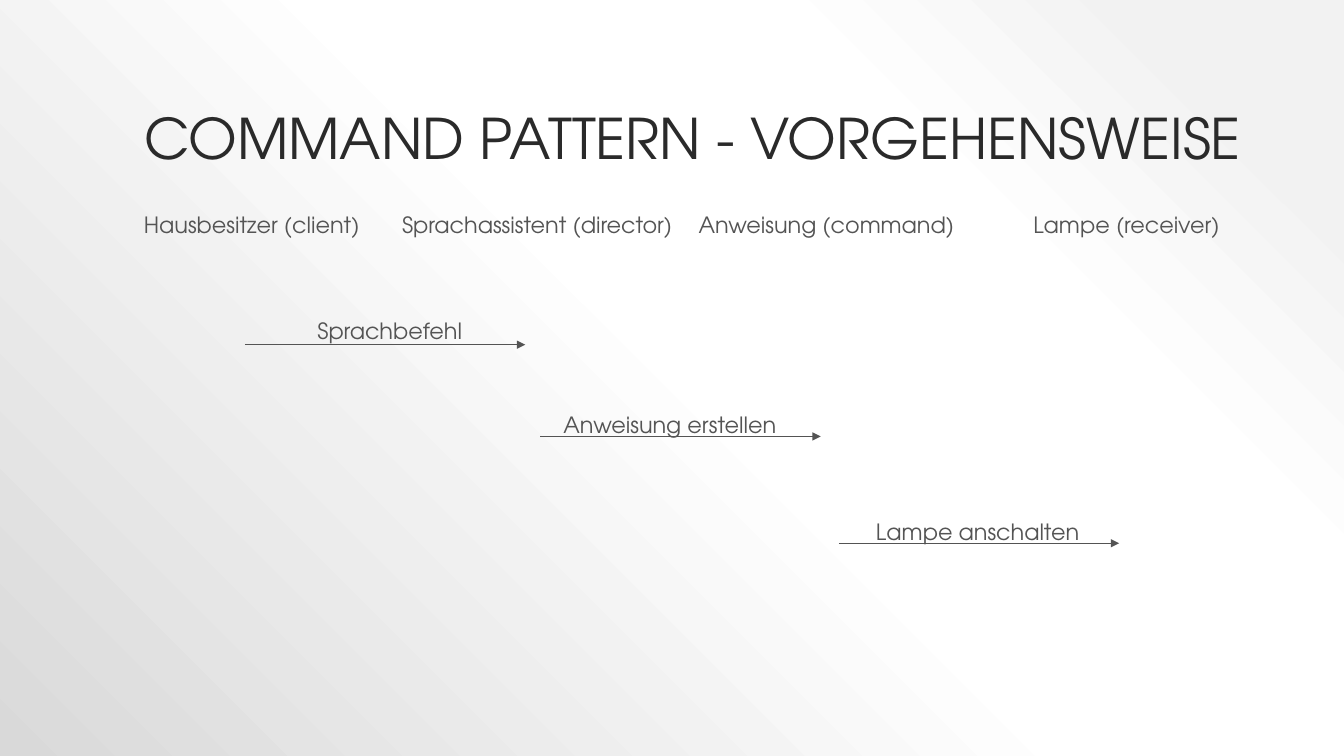
import pptx
import pptx.util
import pptx.oxml
import pptx.oxml.ns
import pptx.dml.color
import pptx.enum.shapes
import pptx.enum.text
from lxml import etree

Inches = pptx.util.Inches
qn = pptx.oxml.ns.qn

# Content
TITLE = "COMMAND PATTERN - VORGEHENSWEISE"
ROLES = [  # text, left, width
    ("Hausbesitzer (client)", 1.33, 2.37),
    ("Sprachassistent (director)", 3.89, 2.94),
    ("Anweisung (command)", 6.83, 2.78),
    ("Lampe (receiver)", 10.15, 2.08),
]
MESSAGES = [  # text, left, top, width, arrow start x, arrow y
    ("Sprachbefehl", 3.05, 3.13, 1.67, 2.43, 3.42),
    ("Anweisung erstellen", 5.49, 4.06, 2.35, 5.36, 4.33),
    ("Lampe anschalten", 8.59, 5.12, 2.24, 8.32, 5.39),
]

# Format
COLORS = {"title": "2A2A2A", "body": "545454"}
BACKGROUND_STOPS = [(10, "F2F2F2"), (28, "FFFFFF"), (48, "FFFFFF"), (100, "D9D9D9")]
FONT = "TeX Gyre Adventor"
TITLE_FONT = {"name": FONT, "size": pptx.util.Pt(40), "bold": False}
LABEL_FONT = {"name": FONT, "size": pptx.util.Pt(16)}
ROLE_TOP, LABEL_HEIGHT, ARROW_LENGTH = 2.08, 0.34, 2.78


def write(frame, text, font_values, color):
    paragraph = frame.paragraphs[0]
    paragraph.alignment = pptx.enum.text.PP_ALIGN.LEFT
    paragraph.line_spacing = 0.9
    run = paragraph.add_run()
    run.text = text
    for attribute, value in font_values.items():
        setattr(run.font, attribute, value)
    run.font.color.rgb = pptx.dml.color.RGBColor.from_string(COLORS[color])


def add_label(slide, text, left, top, width):
    label = slide.shapes.add_textbox(
        Inches(left), Inches(top), Inches(width), Inches(LABEL_HEIGHT))
    frame = label.text_frame
    frame.word_wrap = False
    frame.auto_size = pptx.enum.text.MSO_AUTO_SIZE.SHAPE_TO_FIT_TEXT
    write(frame, text, LABEL_FONT, "body")


def add_arrow(slide, left, y):
    arrow = slide.shapes.add_connector(
        pptx.enum.shapes.MSO_CONNECTOR.STRAIGHT,
        Inches(left), Inches(y), Inches(left + ARROW_LENGTH), Inches(y))
    arrow.line.width = pptx.util.Pt(1)
    arrow.line.color.rgb = pptx.dml.color.RGBColor.from_string(COLORS["body"])
    etree.SubElement(arrow.line._get_or_add_ln(), qn("a:tailEnd"), type="triangle")
    etree.SubElement(arrow._element.spPr, qn("a:effectLst"))


def set_background(slide):
    stops = "".join(
        f'<a:gs pos="{position * 1000}"><a:srgbClr val="{color}"/></a:gs>'
        for position, color in BACKGROUND_STOPS)
    background = pptx.oxml.parse_xml(
        f'<p:bg {pptx.oxml.ns.nsdecls("p", "a")}><p:bgPr>'
        f'<a:gradFill rotWithShape="1"><a:gsLst>{stops}</a:gsLst>'
        '<a:path path="circle"><a:fillToRect l="100000" b="100000"/></a:path>'
        '</a:gradFill><a:effectLst/></p:bgPr></p:bg>')
    slide._element.cSld.insert(0, background)


def main():
    presentation = pptx.Presentation()
    presentation.slide_width, presentation.slide_height = Inches(13.33), Inches(7.5)
    slide = presentation.slides.add_slide(presentation.slide_layouts[5])
    set_background(slide)

    # Title
    title = slide.shapes.title
    title.left, title.top = Inches(1.33), Inches(0.3)
    title.width, title.height = Inches(11.49), Inches(1.45)
    title.text_frame.word_wrap = True
    title.text_frame.auto_size = pptx.enum.text.MSO_AUTO_SIZE.NONE
    title.text_frame.vertical_anchor = pptx.enum.text.MSO_ANCHOR.BOTTOM
    write(title.text_frame, TITLE, TITLE_FONT, "title")

    # Roles across the top
    for text, left, width in ROLES:
        add_label(slide, text, left, ROLE_TOP, width)

    # Messages passed from role to role
    for text, left, top, width, arrow_left, arrow_y in MESSAGES:
        add_arrow(slide, arrow_left, arrow_y)
        add_label(slide, text, left, top, width)

    presentation.save("out.pptx")


if __name__ == "__main__":
    main()
